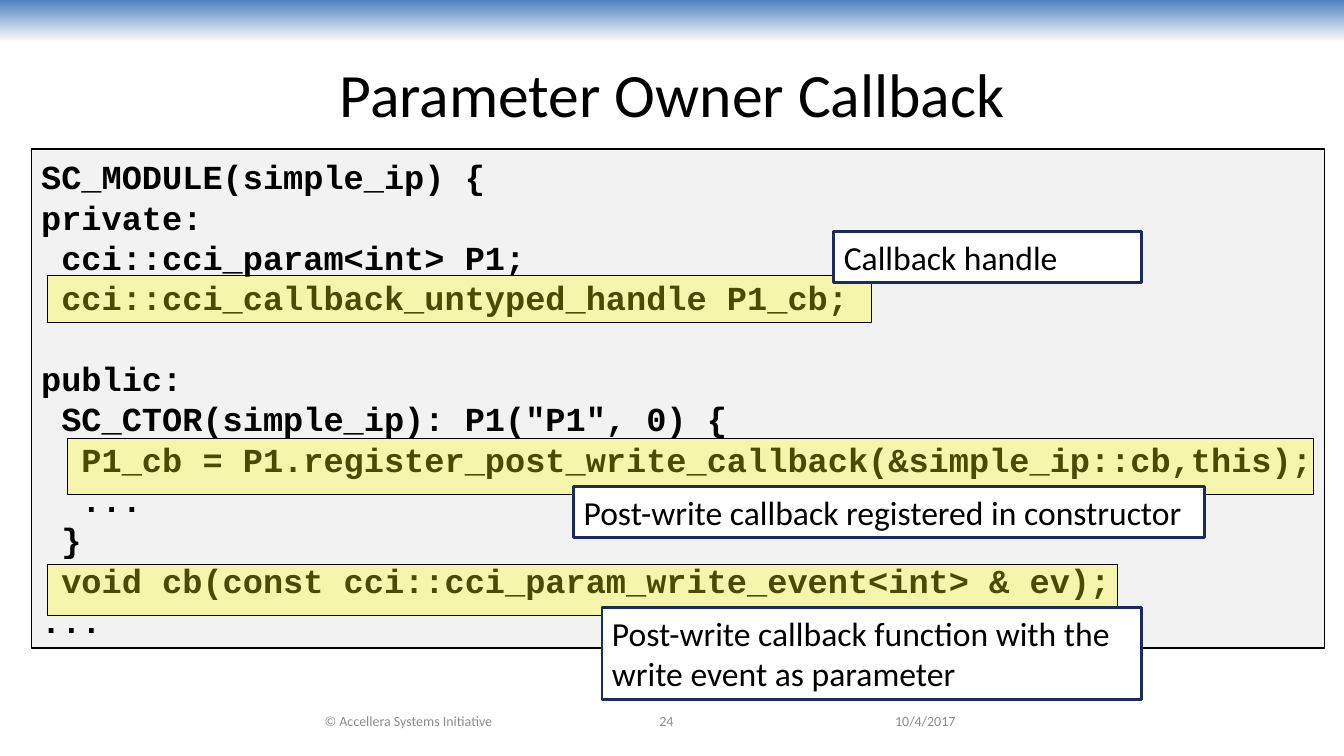
from pptx import Presentation
from pptx.dml.color import RGBColor
from pptx.enum.shapes import MSO_SHAPE
from pptx.enum.text import MSO_ANCHOR, PP_ALIGN
from pptx.oxml.ns import qn
from pptx.util import Pt
from lxml import etree

RECTANGLE = MSO_SHAPE.RECTANGLE
TOP, MIDDLE = MSO_ANCHOR.TOP, MSO_ANCHOR.MIDDLE
LEFT, CENTER = PP_ALIGN.LEFT, PP_ALIGN.CENTER
PX = 9144  # EMU per px, 100 px to the inch
CODE_LINE = Pt(28.8)
COLORS = {
    "black": "000000", "white": "FFFFFF", "band": "4F81BD", "code": "F2F2F2",
    "highlight": "FFFF00", "navy": "1E2A5B", "footer": "8C8C8C",
}


def color(name):
    return RGBColor.from_string(COLORS[name])


def write(shape, text, size=24, font="Calibri", ink="black", bold=False,
          align=LEFT, anchor=TOP, line_spacing=None):
    """Write one paragraph per line; an empty line becomes space before the next."""
    frame = shape.text_frame
    frame.word_wrap = True
    frame.vertical_anchor = anchor
    gap = False
    for index, line in enumerate(text.split("\n")):
        if not line:
            gap = True
            continue
        paragraph = frame.add_paragraph() if index else frame.paragraphs[0]
        paragraph.text = line
        paragraph.alignment = align
        if line_spacing:
            paragraph.line_spacing = line_spacing
        if gap:
            paragraph.space_before = line_spacing
            gap = False
        paragraph.font.size = Pt(size)
        paragraph.font.name = font
        paragraph.font.bold = bold
        paragraph.font.color.rgb = color(ink)


presentation = Presentation()
presentation.slide_width, presentation.slide_height = 1333 * PX, 750 * PX
slide = presentation.slides.add_slide(presentation.slide_layouts[5])


def add_box(left, top, width, height, fill=None, line=None, line_width=1):
    shape = slide.shapes.add_shape(RECTANGLE, left * PX, top * PX, width * PX, height * PX)
    shape.shadow.inherit = False
    if fill:
        shape.fill.solid()
        shape.fill.fore_color.rgb = color(fill)
    if line:
        shape.line.color.rgb = color(line)
        shape.line.width = Pt(line_width)
    else:
        shape.line.fill.background()
    return shape


# Gradient band along the top
band = add_box(0, 0, 1333, 42)
band.fill.gradient()
band.fill.gradient_angle = 270
for stop, name, position in zip(band.fill.gradient_stops, ("band", "white"), (0, 1)):
    stop.color.rgb = color(name)
    stop.position = position

# Title
title = slide.shapes.title
title.left, title.top, title.width, title.height = 67 * PX, 30 * PX, 1200 * PX, 125 * PX
write(title, "Parameter Owner Callback", size=44, align=CENTER, anchor=MIDDLE)

# Code listing
CODE = """SC_MODULE(simple_ip) {
private:
 cci::cci_param<int> P1;
 cci::cci_callback_untyped_handle P1_cb;

public:
 SC_CTOR(simple_ip): P1("P1", 0) {
  P1_cb = P1.register_post_write_callback(&simple_ip::cb,this);
  ...
 }
 void cb(const cci::cci_param_write_event<int> & ev);
..."""
listing = add_box(31, 148, 1283, 495, fill="code", line="black")
listing.text_frame.margin_top = 7 * PX
listing.text_frame.margin_right = 0
write(listing, CODE, font="Courier New", bold=True, line_spacing=CODE_LINE)

# Translucent highlights over the callback lines
for bounds in [(47, 273, 817, 47), (67, 435, 1236, 56), (47, 560, 1061, 51)]:
    highlight = add_box(*bounds, fill="highlight", line="black", line_width=0.75)
    fill_color = highlight.fill._xPr.find(qn("a:solidFill"))[0]
    etree.SubElement(fill_color, qn("a:alpha"), val="29000")

# Explanations
for text, bounds in [
    ("Post-write callback registered in constructor", (569, 483, 626, 50)),
    ("Post-write callback function with the write event as parameter", (597, 603, 535, 91)),
    ("Callback handle", (827, 230, 305, 50)),
]:
    write(add_box(*bounds, fill="white", line="navy", line_width=2), text)

# Footer
for text, left, width, align in [
    ("© Accellera Systems Initiative", 244, 322, CENTER),
    ("24", 533, 256, CENTER),
    ("10/4/2017", 878, 156, LEFT),
]:
    footer = slide.shapes.add_textbox(left * PX, 695 * PX, width * PX, 40 * PX)
    write(footer, text, size=10, ink="footer", align=align, anchor=MIDDLE)

presentation.save("out.pptx")
